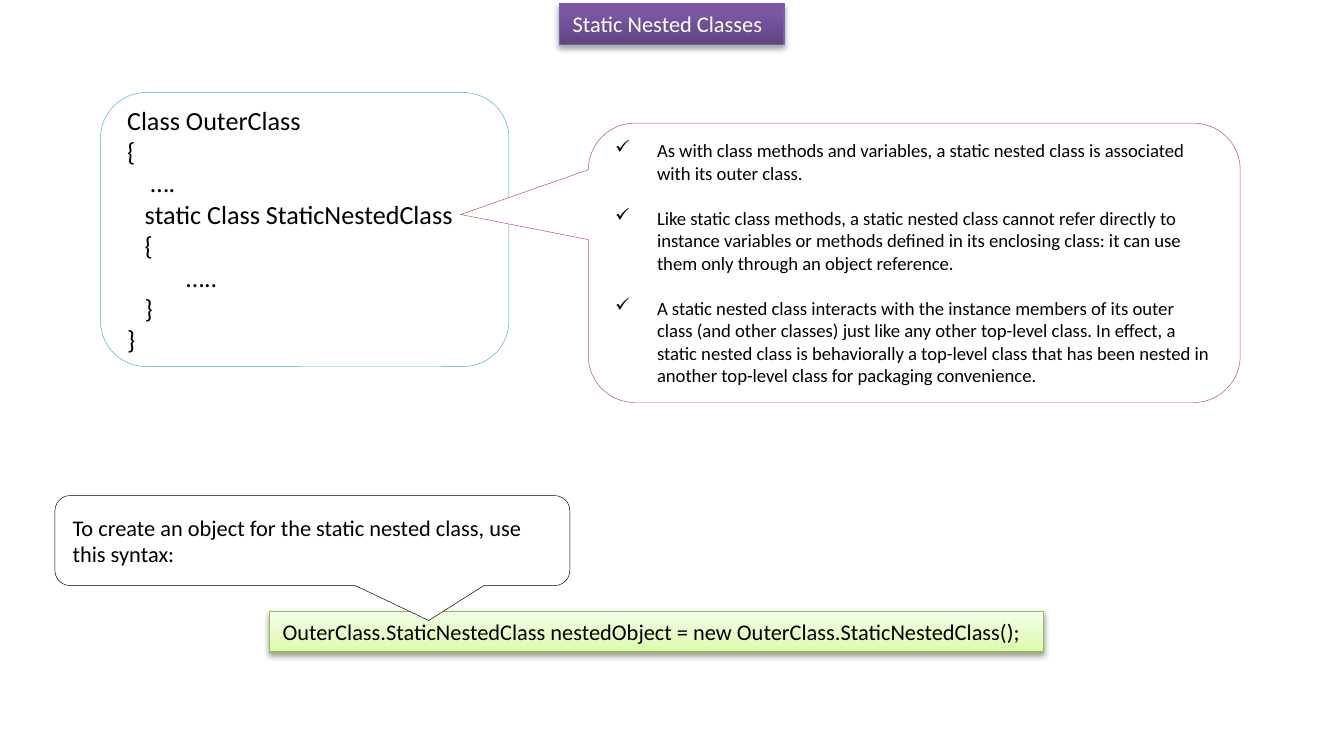
import pptx
import pptx.dml.color
import pptx.enum.shapes
import pptx.enum.text
import pptx.oxml
import pptx.oxml.ns
import pptx.util
from lxml import etree
from pptx.util import Cm

SHAPES = pptx.enum.shapes.MSO_SHAPE
ANCHOR = pptx.enum.text.MSO_ANCHOR
AUTO_SIZE = pptx.enum.text.MSO_AUTO_SIZE
qn = pptx.oxml.ns.qn

CODE_LINES = [
    "Class OuterClass",
    "{",
    "    ….",
    "   static Class StaticNestedClass",
    "   {",
    "          …..",
    "   }",
    "}",
]
NOTES = [
    "As with class methods and variables, a static nested class is associated "
    "with its outer class.",
    "Like static class methods, a static nested class cannot refer directly to "
    "instance variables or methods defined in its enclosing class: it can use "
    "them only through an object reference.",
    "A static nested class interacts with the instance members of its outer class "
    "(and other classes) just like any other top-level class. In effect, a static "
    "nested class is behaviorally a top-level class that has been nested in another "
    "top-level class for packaging convenience.",
]


def color(hex_string):
    return pptx.dml.color.RGBColor.from_string(hex_string)


def place(shape, left, top, width, height):
    shape.left, shape.top = Cm(left), Cm(top)
    shape.width, shape.height = Cm(width), Cm(height)


def write(shape, lines, size, text_color="000000", anchor=ANCHOR.MIDDLE):
    frame = shape.text_frame
    frame.word_wrap = True
    frame.vertical_anchor = anchor
    frame.text = "\n".join(lines)
    for paragraph in frame.paragraphs:
        paragraph.alignment = pptx.enum.text.PP_ALIGN.LEFT
        for run in paragraph.runs:
            run.font.name = "Calibri"
            run.font.size = pptx.util.Pt(size)
            run.font.color.rgb = color(text_color)


def outline(shape, line_color, width):
    shape.line.color.rgb = color(line_color)
    shape.line.width = pptx.util.Pt(width)
    shape.shadow.inherit = False


def add_panel(slide, kind, box, line_color, adjustments=()):
    """White shape with a hairline outline."""
    panel = slide.shapes.add_shape(kind, *map(Cm, box))
    for index, value in enumerate(adjustments):
        panel.adjustments[index] = value
    panel.fill.solid()
    panel.fill.fore_color.rgb = color("FFFFFF")
    outline(panel, line_color, 0.25)
    return panel


def style_bar(bar, stops, line_color, shadow_opacity, shadow_distance):
    """Upward gradient, thin outline and soft shadow below."""
    bar.fill.gradient()
    bar.fill.gradient_angle = 90
    outline(bar, line_color, 0.75)
    properties = bar.fill._xPr
    stop_list = properties.find(".//" + qn("a:gsLst"))
    for stop in list(stop_list):
        stop_list.remove(stop)
    for position, stop_color in stops:
        stop = etree.SubElement(stop_list, qn("a:gs"), pos=str(position * 1000))
        etree.SubElement(stop, qn("a:srgbClr"), val=stop_color)
    shadow = etree.SubElement(
        properties.find(qn("a:effectLst")), qn("a:outerShdw"),
        blurRad=str(pptx.util.Pt(3.1)), dist=str(pptx.util.Pt(shadow_distance)),
        dir="5400000", rotWithShape="0")
    shade = etree.SubElement(shadow, qn("a:srgbClr"), val="000000")
    etree.SubElement(shade, qn("a:alpha"), val=str(shadow_opacity * 1000))


def fill_title(slide, box):
    title = slide.shapes.title
    place(title, *box)
    style_bar(title, [(0, "5F4480"), (80, "7B58A6"), (100, "7C57A8")],
              "7D60A0", 35, 1.8)
    write(title, ["Static Nested Classes"], 12, "FFFFFF", ANCHOR.TOP)
    title.text_frame.auto_size = AUTO_SIZE.NONE


def add_class_example(slide, left, top):
    # Class outline
    code = add_panel(slide, SHAPES.ROUNDED_RECTANGLE,
                     (left, top, 7.72, 5.18), "4BACC6")
    write(code, CODE_LINES, 14)

    # Callout with check-marked notes
    notes = add_panel(slide, SHAPES.ROUNDED_RECTANGULAR_CALLOUT,
                      (left + 9.22, top + 0.58, 12.32, 5.28), "C0504D",
                      (-0.696, -0.173, 0.167))
    write(notes, NOTES, 10)
    for index, paragraph in enumerate(notes.text_frame.paragraphs):
        if index:
            paragraph.space_before = pptx.util.Pt(12.2)
        properties = paragraph._p.get_or_add_pPr()
        properties.set("marL", str(Cm(0.79)))
        properties.set("indent", str(-Cm(0.79)))
        etree.SubElement(properties, qn("a:buChar"), char="✓")


def add_syntax(slide, left, top):
    # Statement bar
    statement = slide.shapes.add_shape(
        SHAPES.RECTANGLE, Cm(left + 4.05), Cm(top + 2.19), Cm(14.63), Cm(0.77))
    style_bar(statement, [(0, "DAFDA7"), (35, "E4FCC2"), (100, "F5FFE7")],
              "98B955", 38, 1.6)
    write(statement, ["OuterClass.StaticNestedClass nestedObject = "
                      "new OuterClass.StaticNestedClass();"], 12, anchor=ANCHOR.TOP)
    statement.text_frame.word_wrap = False
    statement.text_frame.auto_size = AUTO_SIZE.SHAPE_TO_FIT_TEXT

    # Callout pointing at the statement
    prompt = add_panel(slide, SHAPES.ROUNDED_RECTANGULAR_CALLOUT,
                       (left, top, 9.73, 1.7), "000000", (0.226, 0.889, 0.167))
    write(prompt, ["To create an object for the static nested class, "
                   "use this syntax:"], 12)


def main():
    deck = pptx.Presentation()
    deck.slide_width, deck.slide_height = Cm(25.4), Cm(13.97)
    slide = deck.slides.add_slide(deck.slide_layouts.get_by_name("Title Only"))
    fill_title(slide, (10.57, 0.07, 4.25, 0.77))
    add_class_example(slide, 1.9, 1.75)
    add_syntax(slide, 1.04, 9.37)
    deck.save("out.pptx")


if __name__ == "__main__":
    main()
